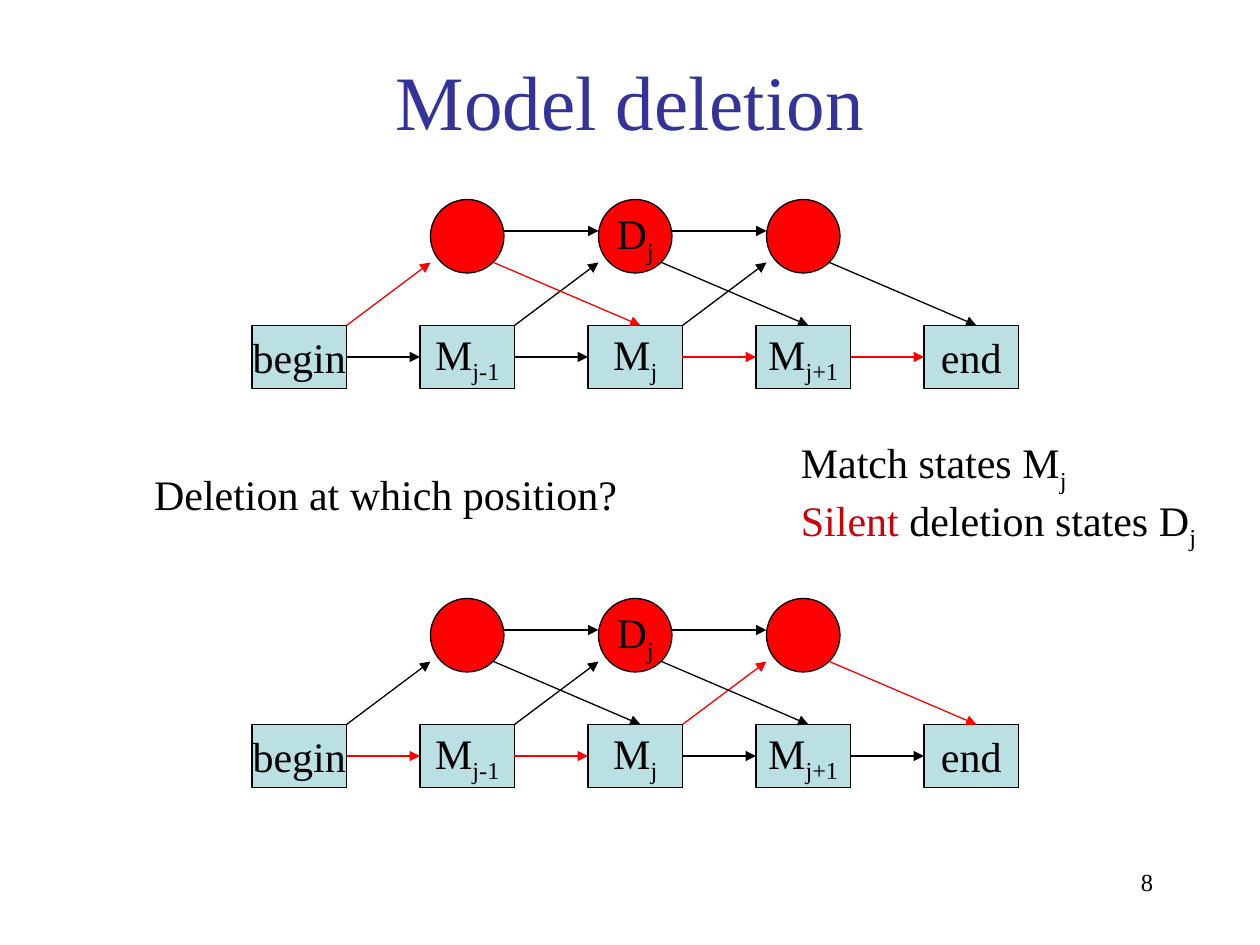
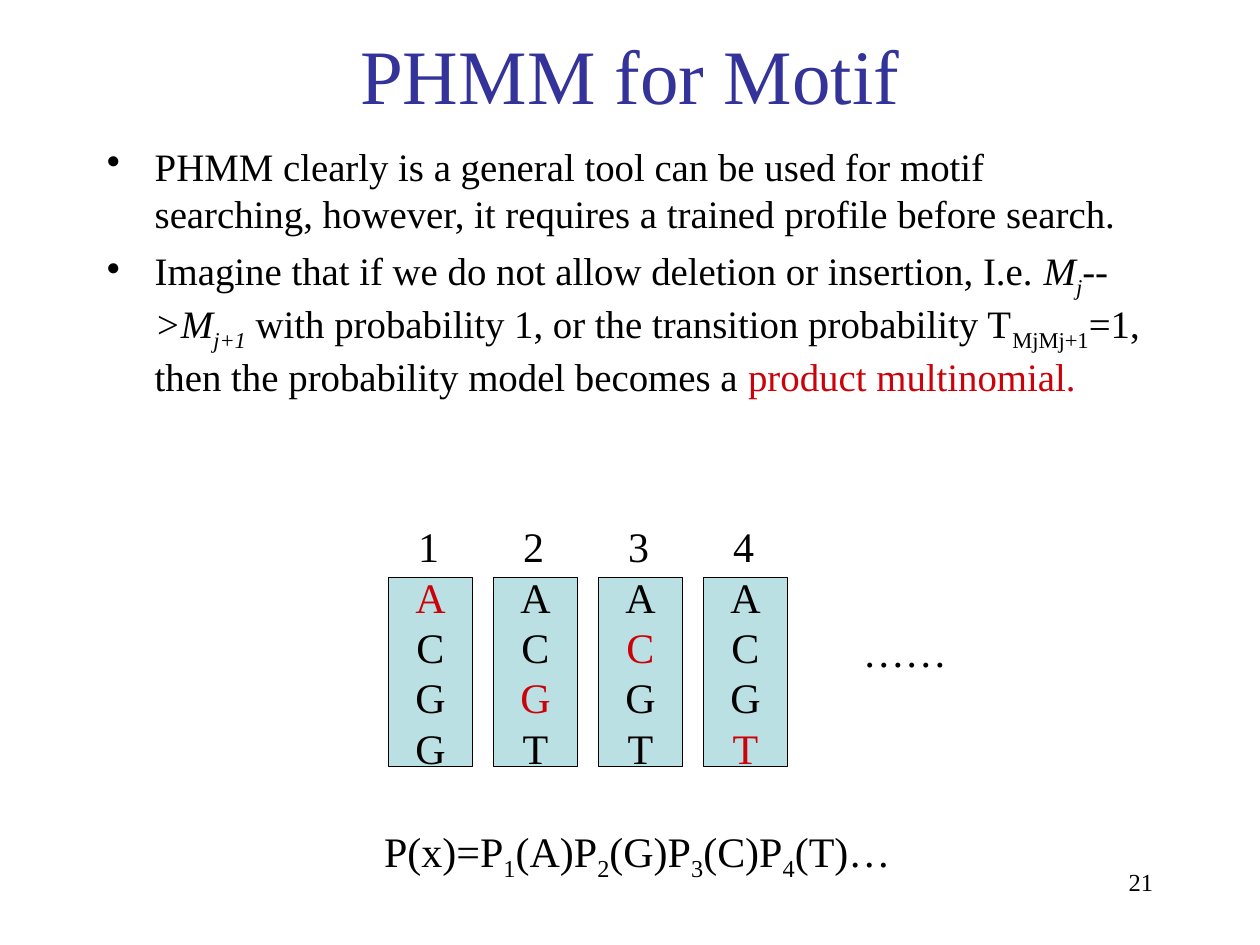
from lxml import etree
from pptx import Presentation, util as u
from pptx.dml.color import RGBColor
from pptx.enum import shapes as sh, text as tx
from pptx.oxml.ns import qn

# Content: a run is (words, style); s = subscript, i = italic, r = red
TITLES = ["Model deletion", "PHMM for Motif"]
PAGES = ["8", "21"]
STATES = [
    [("begin", "")],
    [("M", ""), ("j-1", "s")],
    [("M", ""), ("j", "s")],
    [("M", ""), ("j+1", "s")],
    [("end", "")],
]
SILENT = [None, [("D", ""), ("j", "s")], None]
# Each model: top row and the edges on its red route
MODELS = [
    (19, {("up", 0), ("down", 0), ("on", 2), ("on", 3)}),
    (57, {("on", 0), ("on", 1), ("up", 2), ("down", 2)}),
]
ASK = [[("Deletion at which position?", "")]]
KEY = [
    [("Match states M", ""), ("j", "s")],
    [("Silent", "r"), (" deletion states D", ""), ("j", "s")],
]
POINTS = [
    [("PHMM clearly is a general tool can be used for motif searching, "
      "however, it requires a trained profile before search.", "")],
    [("Imagine that if we do not allow deletion or insertion, I.e. ", ""),
     ("M", "i"), ("j", "is"), ("-->M", "i"), ("j+1", "is"),
     (" with probability 1, or the transition probability T", ""),
     ("MjMj+1", "s"),
     ("=1, then the probability model becomes a ", ""),
     ("product multinomial.", "r")],
]
# Motif columns: letters and the index of the red one
MOTIF = [("ACGG", 0), ("ACGT", 2), ("ACGT", 1), ("ACGT", 3)]
ODDS = [("P(x)=P", ""), ("1", "s"), ("(A)P", ""), ("2", "s"), ("(G)P", ""),
        ("3", "s"), ("(C)P", ""), ("4", "s"), ("(T)…", "")]

# Shared look
HUES = {"ink": "000000", "title": "333399", "box": "BBE0E3",
        "red": "FF0000", "mark": "CB0209"}
FONT = "Times New Roman"
COLS, ROWS = 120, 90
UNIT = u.Inches(10) // COLS
STEP = 16                       # from one state to the next
BOX_W, BOX_H, DISC = 9, 6, 7
LEFT = {"box": 24, "disc": 41}
MID, CENTER = tx.MSO_ANCHOR.MIDDLE, tx.PP_ALIGN.CENTER
RIGHT = tx.PP_ALIGN.RIGHT


def grid(*nums):
    return [u.Emu(round(n * UNIT)) for n in nums]


def hue(name):
    return RGBColor.from_string(HUES[name])


def write(frame, paras, size=24, ink="ink", align=None, anchor=None,
          wrap=False, gap=None):
    frame.word_wrap = wrap
    if anchor is not None:
        frame.vertical_anchor = anchor
    for n, runs in enumerate(paras):
        para = frame.add_paragraph() if n else frame.paragraphs[0]
        if align is not None:
            para.alignment = align
        if gap is not None:
            para.space_before = u.Pt(gap)
        for words, style in runs:
            run = para.add_run()
            run.text = words
            font = run.font
            font.name, font.size = FONT, u.Pt(size)
            font.color.rgb = hue("mark" if "r" in style else ink)
            if "i" in style:
                font.italic = True
            if "s" in style:
                run._r.get_or_add_rPr().set("baseline", "-25000")


def label(slide, at, paras, grow=True, **look):
    frame = slide.shapes.add_textbox(*grid(*at)).text_frame
    write(frame, paras, **look)
    if grow:
        frame.auto_size = tx.MSO_AUTO_SIZE.SHAPE_TO_FIT_TEXT
    return frame


def node(home, kind, at, fill, paras=None):
    shape = home.add_shape(kind, *grid(*at))
    shape.shadow.inherit = False
    shape.fill.solid()
    shape.fill.fore_color.rgb = hue(fill)
    shape.line.color.rgb = hue("ink")
    shape.line.width = u.Pt(0.75)
    if paras:
        write(shape.text_frame, paras, align=CENTER, anchor=MID)


def arrow(home, ends, ink):
    link = home.add_connector(sh.MSO_CONNECTOR.STRAIGHT, *grid(*ends))
    link.line.color.rgb = hue(ink)
    link.line.width = u.Pt(0.75)
    etree.SubElement(link.line._get_or_add_ln(), qn("a:tailEnd"),
                     type="triangle")
    etree.SubElement(link._element.spPr, qn("a:effectLst"))


def bullet(para):
    props = para._p.get_or_add_pPr()
    props.set("marL", str(u.Inches(0.38)))
    props.set("indent", str(-u.Inches(0.38)))
    tint = etree.SubElement(props, qn("a:buClr"))
    etree.SubElement(tint, qn("a:srgbClr"), val=HUES["ink"])
    etree.SubElement(props, qn("a:buChar"), char="•")


def model(slide, top, route):
    home = slide.shapes.add_group_shape().shapes
    base = top + 12
    for n, name in enumerate(STATES):
        node(home, sh.MSO_SHAPE.RECTANGLE,
             (LEFT["box"] + n * STEP, base, BOX_W, BOX_H), "box", [name])
    for n, name in enumerate(SILENT):
        node(home, sh.MSO_SHAPE.OVAL,
             (LEFT["disc"] + n * STEP, top, DISC, DISC), "red",
             [name] if name else None)

    # Edges of the first state, moved one step for each later one
    out, disc = LEFT["box"] + BOX_W, LEFT["disc"]
    edges = {
        "on": (4, out, base + 3, LEFT["box"] + STEP, base + 3),
        "up": (3, out, base, disc, top + 6),
        "across": (2, disc + DISC, top + 3, disc + STEP, top + 3),
        "down": (3, disc + 6, top + 6, disc + 20, base),
    }
    for kind, (count, x1, y1, x2, y2) in edges.items():
        for n in range(count):
            move = n * STEP
            arrow(home, (x1 + move, y1, x2 + move, y2),
                  "red" if (kind, n) in route else "ink")


def start(deck, title, page, high):
    slide = deck.slides.add_slide(deck.slide_layouts[6])
    label(slide, (86, 82, 25, 6), [[(page, "")]], grow=False, size=14,
          align=RIGHT, wrap=True)
    label(slide, (9, 2, 102, high), [[(title, "")]], grow=False, size=44,
          ink="title", align=CENTER, anchor=MID, wrap=True)
    return slide


def main():
    deck = Presentation()
    deck.slide_width, deck.slide_height = grid(COLS, ROWS)

    # Deletion models
    slide = start(deck, TITLES[0], PAGES[0], 15)
    for top, route in MODELS:
        model(slide, top, route)
    label(slide, (13.5, 44, 47.5, 6), ASK)
    label(slide, (75.1, 41, 40.1, 12.1), KEY)

    # Motif text
    slide = start(deck, TITLES[1], PAGES[1], 10)
    frame = label(slide, (9, 13, 102, 36), POINTS, grow=False, size=22.2,
                  wrap=True, gap=6)
    for para in frame.paragraphs:
        bullet(para)

    # Motif columns
    for n, (bases, hit) in enumerate(MOTIF):
        x = 37 + n * 10
        node(slide.shapes, sh.MSO_SHAPE.RECTANGLE, (x, 55, 8, 18), "box",
             [[(base, "r" if k == hit else "")]
              for k, base in enumerate(bases)])
        label(slide, (x + 1.65, 49, 4.3, 6), [[(str(n + 1), "")]])
    label(slide, (81, 59, 12.7, 6), [[("……", "")]], wrap=True, gap=15)
    label(slide, (35.4, 78, 50.6, 6.7), [ODDS])

    deck.save("out.pptx")


if __name__ == "__main__":
    main()
